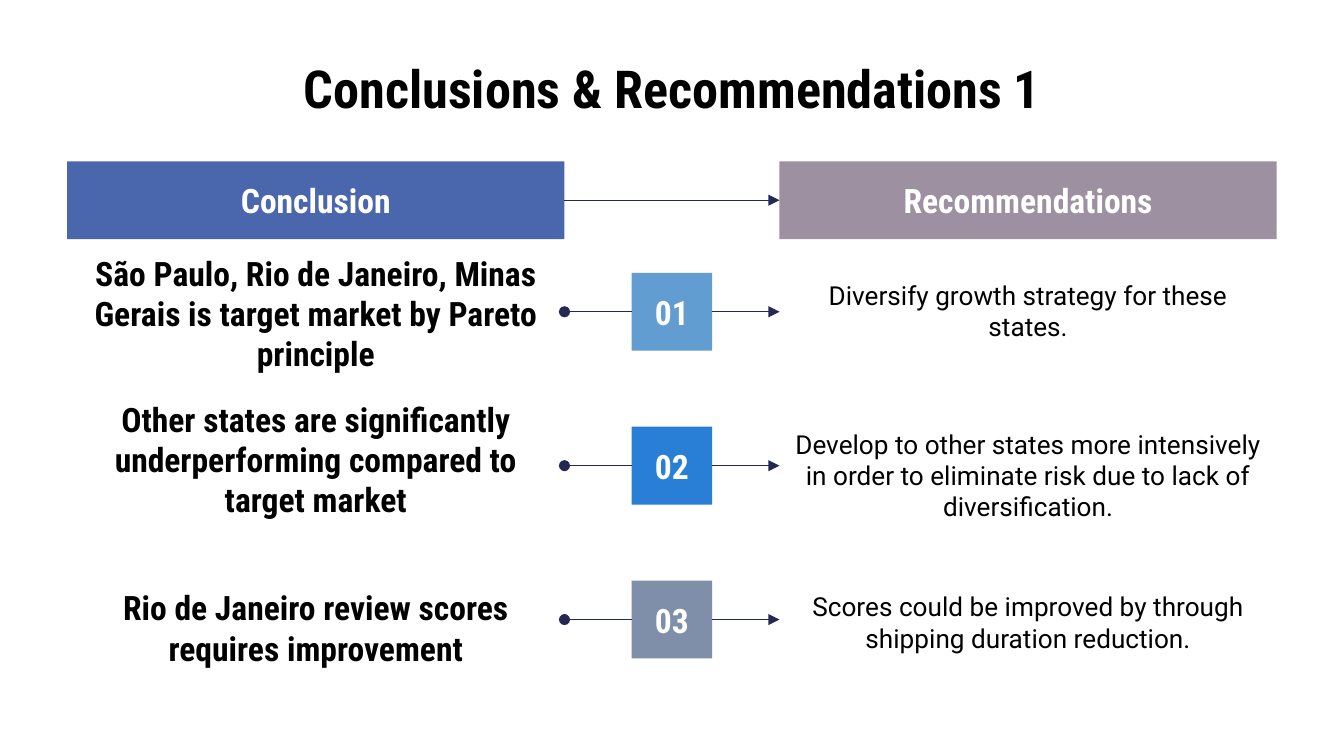
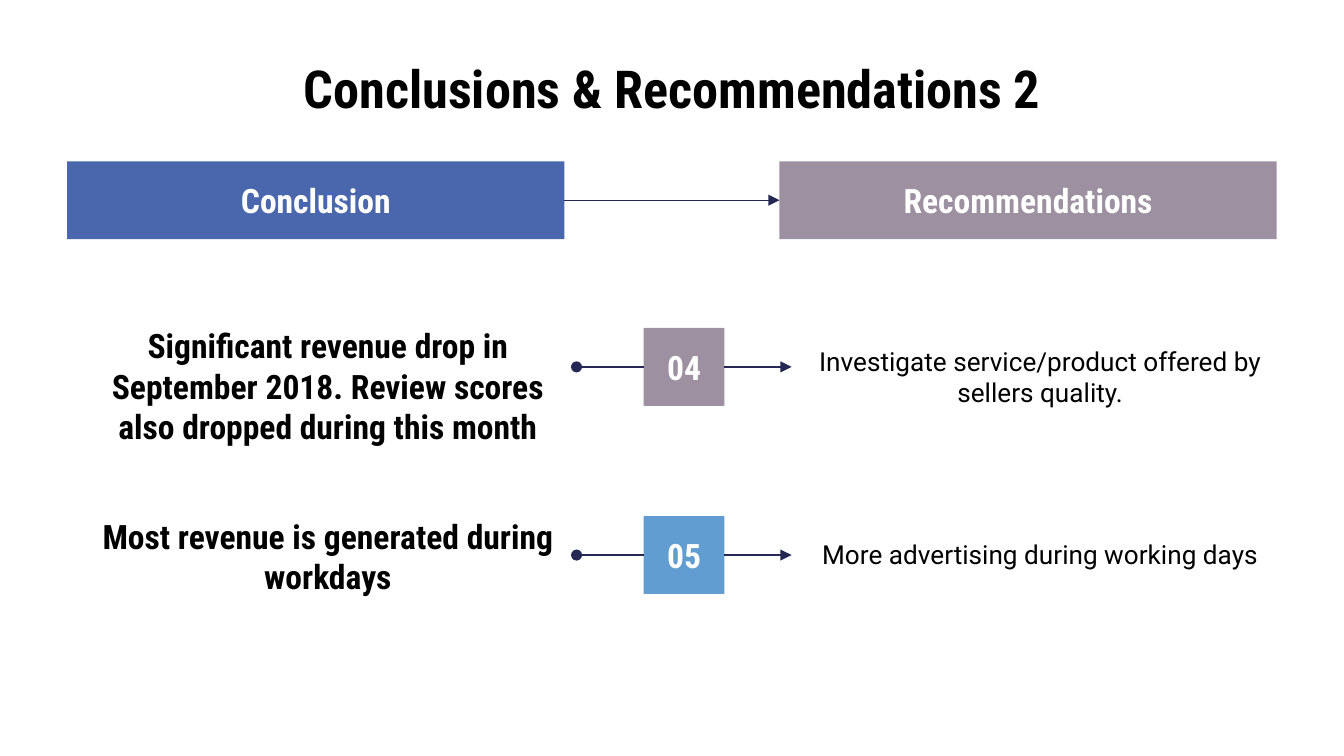
from dataclasses import dataclass

from lxml.etree import SubElement
from pptx import Presentation
from pptx.dml.color import RGBColor
from pptx.enum.shapes import MSO_CONNECTOR as Connector, MSO_SHAPE as Shape
from pptx.enum.text import MSO_ANCHOR as Anchor, MSO_AUTO_SIZE as AutoSize, PP_ALIGN as Align
from pptx.oxml.ns import qn
from pptx.util import Inches, Pt

# Palette and fonts
BLACK = RGBColor(0x00, 0x00, 0x00)
WHITE = RGBColor(0xFF, 0xFF, 0xFF)
NAVY = RGBColor(0x24, 0x28, 0x52)
INDIGO = RGBColor(0x4A, 0x66, 0xAC)
MAUVE = RGBColor(0x9D, 0x90, 0xA0)
SKY = RGBColor(0x62, 0x9D, 0xD1)
AZURE = RGBColor(0x29, 0x7F, 0xD5)
SLATE = RGBColor(0x7F, 0x8F, 0xA9)
HEADING_FONT = "Roboto Condensed"
BODY_FONT = "Roboto"

# Grid in inches: text column, arrow, number box, arrow, text column
WIDTH, HEIGHT = 10, 5.625
MARGIN = 0.5
COLUMN = 3.7
ARROW = 0.5
BOX_WIDTH, BOX_HEIGHT = 0.6, 0.58
LEFT_END = MARGIN + COLUMN
BOX_LEFT = LEFT_END + ARROW
BOX_RIGHT = BOX_LEFT + BOX_WIDTH
RIGHT_START = BOX_RIGHT + ARROW
HEADER_TOP = 1.2
TEXT_HEIGHT = 0.3


@dataclass
class Finding:
    number: str
    color: RGBColor
    conclusion: str
    recommendation: str
    conclusion_drop: float  # text centre below the arrow line
    recommendation_drop: float


@dataclass
class Page:
    title: str
    first_line: float  # height of the first arrow line
    pitch: float
    shift: float  # move of all rows to the right
    findings: list


PAGES = [
    Page("Conclusions & Recommendations 1", 2.32, 1.145, 0, [
        Finding("01", SKY,
                "São Paulo, Rio de Janeiro, Minas Gerais is target market by Pareto principle",
                "Diversify growth strategy for these states.", 0.01, -0.01),
        Finding("02", AZURE,
                "Other states are significantly underperforming compared to target market",
                "Develop to other states more intensively in order to eliminate risk "
                "due to lack of diversification.", -0.05, 0.07),
        Finding("03", SLATE,
                "Rio de Janeiro review scores requires improvement",
                "Scores could be improved by through shipping duration reduction.",
                0.06, 0.02),
    ]),
    Page("Conclusions & Recommendations 2", 2.73, 1.4, 0.09, [
        Finding("04", MAUVE,
                "Significant revenue drop in September 2018. "
                "Review scores also dropped during this month",
                "Investigate service/product offered by sellers quality.", 0.14, 0.07),
        Finding("05", SKY,
                "Most revenue is generated during workdays",
                "More advertising during working days", 0.01, -0.01),
    ]),
]


def write(shape, text, size, color=BLACK, font=HEADING_FONT, bold=True):
    frame = shape.text_frame
    frame.text = text
    frame.word_wrap = True
    frame.auto_size = AutoSize.NONE
    frame.vertical_anchor = Anchor.MIDDLE
    frame.margin_left = frame.margin_right = Inches(0.1)
    frame.margin_top = frame.margin_bottom = Inches(0.1)
    paragraph = frame.paragraphs[0]
    paragraph.alignment = Align.CENTER
    paragraph.font.name = font
    paragraph.font.size = Pt(size)
    paragraph.font.bold = bold
    paragraph.font.color.rgb = color


def add_title(slide, text):
    title = slide.shapes.title
    title.left, title.top = Inches(MARGIN), Inches(0.45)
    title.width, title.height = Inches(WIDTH - 2 * MARGIN), Inches(0.41)
    write(title, text, 28)


def add_block(slide, text, left, top, width, color):
    block = slide.shapes.add_shape(
        Shape.RECTANGLE, Inches(left), Inches(top), Inches(width), Inches(BOX_HEIGHT))
    block.shadow.inherit = False
    block.fill.solid()
    block.fill.fore_color.rgb = color
    block.line.fill.background()
    write(block, text, 18, WHITE)


def add_text(slide, text, left, middle, *style):
    box = slide.shapes.add_textbox(
        Inches(left), Inches(middle - TEXT_HEIGHT / 2), Inches(COLUMN), Inches(TEXT_HEIGHT))
    write(box, text, *style)


def add_arrow(slide, start, end, y, tip="tailEnd", kind="triangle"):
    arrow = slide.shapes.add_connector(
        Connector.STRAIGHT, Inches(start), Inches(y), Inches(end), Inches(y))
    arrow.line.color.rgb = NAVY
    arrow.line.width = Pt(0.75)
    SubElement(arrow.line._get_or_add_ln(), qn(f"a:{tip}"), type=kind)
    SubElement(arrow._element.spPr, qn("a:effectLst"))


def add_header(slide):
    add_block(slide, "Conclusion", MARGIN, HEADER_TOP, COLUMN, INDIGO)
    add_block(slide, "Recommendations", RIGHT_START, HEADER_TOP, COLUMN, MAUVE)
    add_arrow(slide, LEFT_END, RIGHT_START, HEADER_TOP + BOX_HEIGHT / 2)


def add_finding(slide, finding, y, shift):
    add_block(slide, finding.number, BOX_LEFT + shift, y - BOX_HEIGHT / 2,
              BOX_WIDTH, finding.color)
    add_text(slide, finding.conclusion, MARGIN + shift, y + finding.conclusion_drop, 18)
    add_arrow(slide, LEFT_END + shift, BOX_LEFT + shift, y, "headEnd", "oval")
    add_text(slide, finding.recommendation, RIGHT_START + shift,
             y + finding.recommendation_drop, 14, BLACK, BODY_FONT, False)
    add_arrow(slide, BOX_RIGHT + shift, RIGHT_START + shift, y)


def main():
    presentation = Presentation()
    presentation.slide_width = Inches(WIDTH)
    presentation.slide_height = Inches(HEIGHT)
    title_only = presentation.slide_layouts[5]
    for page in PAGES:
        slide = presentation.slides.add_slide(title_only)
        add_title(slide, page.title)
        add_header(slide)
        for row, finding in enumerate(page.findings):
            add_finding(slide, finding, page.first_line + row * page.pitch, page.shift)
    presentation.save("out.pptx")


if __name__ == "__main__":
    main()
